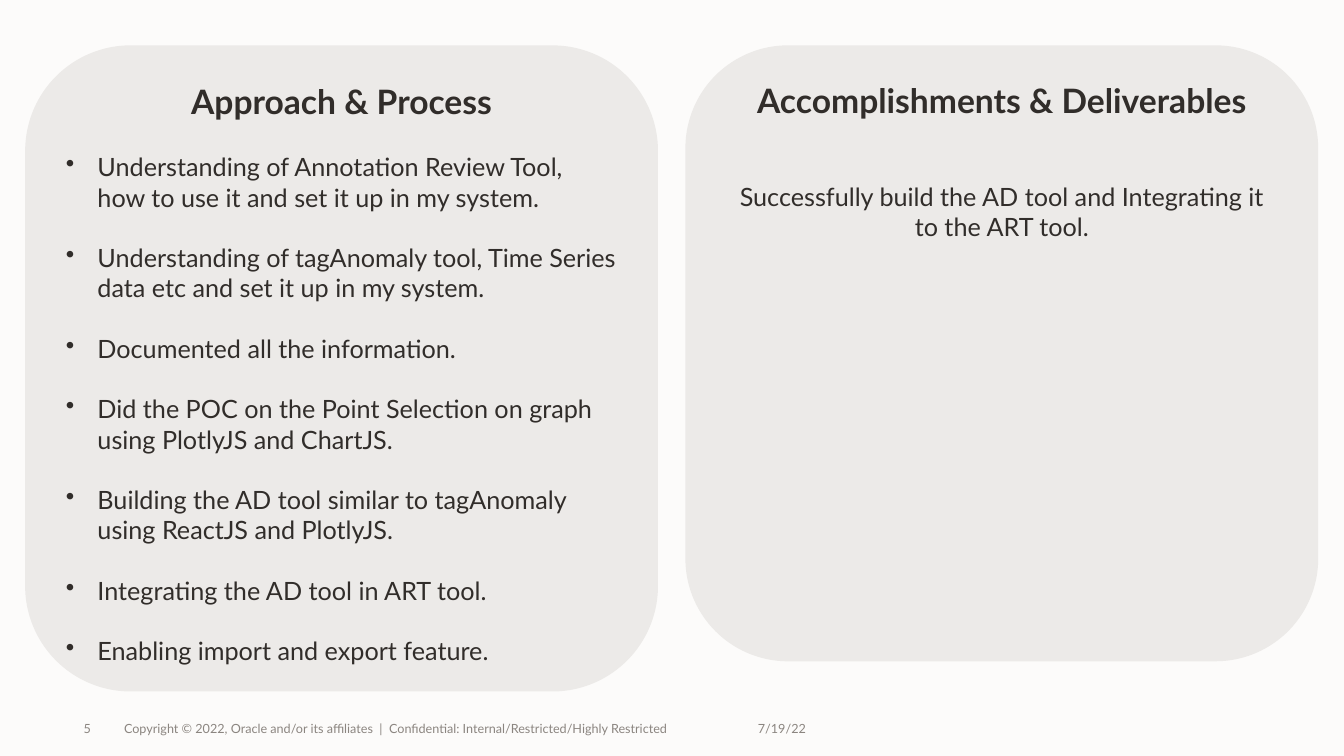
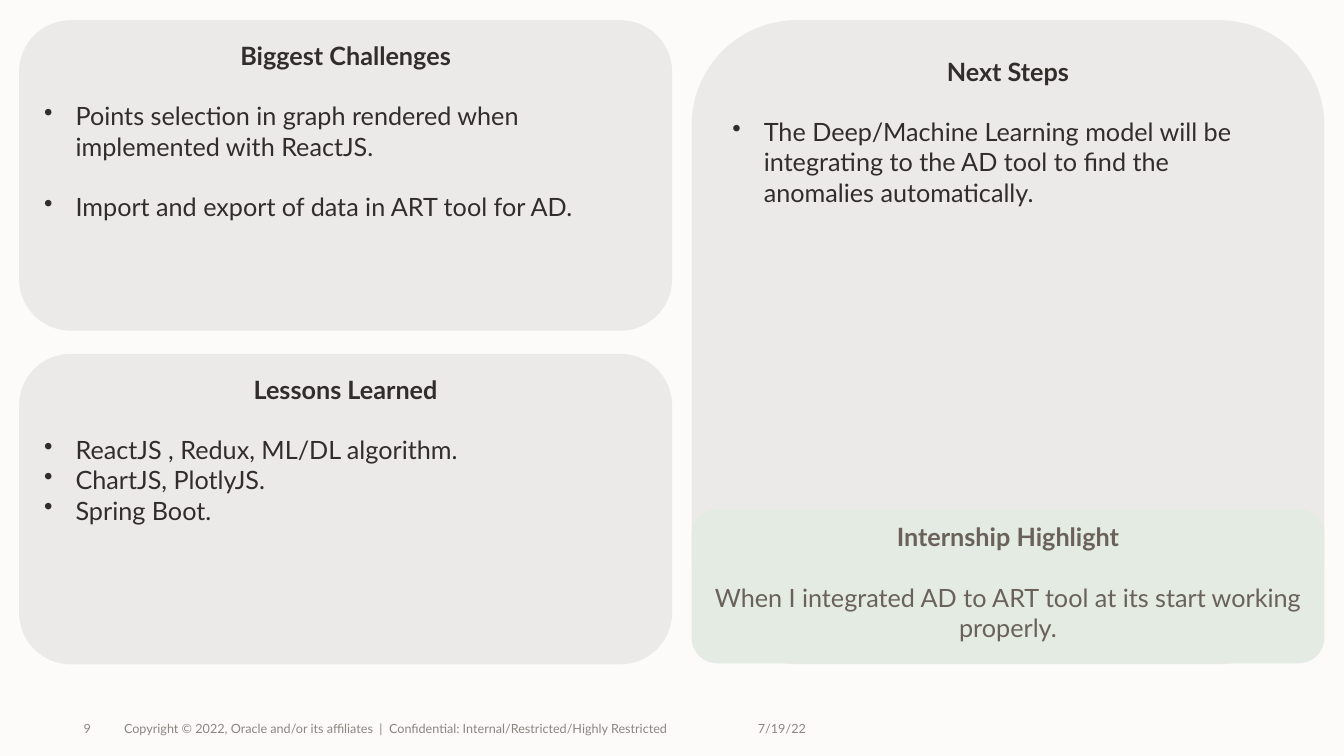
"""Build two internship review slides made of rounded text panels."""
from dataclasses import dataclass

from lxml.etree import SubElement
from pptx import Presentation
from pptx.dml.color import RGBColor
from pptx.enum.shapes import MSO_SHAPE as Preset
from pptx.enum.text import MSO_ANCHOR as Anchor, PP_ALIGN as Align
from pptx.oxml.ns import qn
from pptx.presentation import Presentation as Deck
from pptx.slide import Slide
from pptx.text.text import _Paragraph as Paragraph
from pptx.util import Pt


@dataclass(frozen=True)
class Theme:
    font: str = "Lato"
    background: RGBColor = RGBColor(0xFC, 0xFB, 0xFA)
    panel: RGBColor = RGBColor(0xEC, 0xEA, 0xE8)
    highlight: RGBColor = RGBColor(0xE3, 0xEB, 0xE2)
    ink: RGBColor = RGBColor(0x31, 0x2D, 0x2A)
    highlight_ink: RGBColor = RGBColor(0x69, 0x61, 0x5A)
    footer_ink: RGBColor = RGBColor(0x8B, 0x85, 0x80)
    heading_size: float = 24
    body_size: float = 18
    footer_size: float = 9
    line: float = 21.6
    indent: float = 22.5


THEME = Theme()


@dataclass(frozen=True)
class Panel:
    left: float
    top: float
    width: float
    height: float
    heading: str
    items: tuple[str, ...]
    heading_size: float = THEME.body_size
    bulleted: bool = True
    first_gap: float = THEME.line
    item_gap: float = THEME.line
    fill: RGBColor = THEME.panel
    ink: RGBColor = THEME.ink


@dataclass(frozen=True)
class Page:
    number: str
    panels: tuple[Panel, ...]


COPYRIGHT = ("Copyright © 2022, Oracle and/or its affiliates  |  "
             "Confidential: Internal/Restricted/Highly Restricted")
DATE = "7/19/22"
WIDE, NARROW = 466.5, 452
LOWER_TOP = 252.7
HALF_HEIGHT = 221.8

PAGES = (
    Page("5", (
        Panel(18, 32.4, NARROW, 461.5, "Approach & Process", (
            "Understanding of Annotation Review Tool,\n"
            "how to use it and set it up in my system.",
            "Understanding of tagAnomaly tool, Time Series data etc and set it up in my system.",
            "Documented all the information.",
            "Did the POC on the Point Selection on graph using PlotlyJS and ChartJS.",
            "Building the AD tool similar to tagAnomaly using ReactJS and PlotlyJS.",
            "Integrating the AD tool in ART tool.",
            "Enabling import and export feature.",
        ), heading_size=THEME.heading_size),
        Panel(489.6, 32.4, NARROW, 440, "Accomplishments & Deliverables", (
            "Successfully build the AD tool and Integrating it to the ART tool.",
        ), heading_size=THEME.heading_size, bulleted=False, first_gap=2 * THEME.line),
    )),
    Page("9", (
        Panel(13.6, 14.4, WIDE, HALF_HEIGHT, "Biggest Challenges", (
            "Points selection in graph rendered when implemented with ReactJS.",
            "Import and export of data in ART tool for AD.",
        )),
        Panel(494, 14.4, NARROW, 460, "Next Steps", (
            "The Deep/Machine Learning model will be integrating to the AD tool "
            "to find the anomalies automatically.",
        )),
        Panel(13.6, LOWER_TOP, WIDE, HALF_HEIGHT, "Lessons Learned", (
            "ReactJS , Redux, ML/DL algorithm.",
            "ChartJS, PlotlyJS.",
            "Spring Boot.",
        ), item_gap=0),
        Panel(494, 363.6, NARROW, 110.2, "Internship Highlight", (
            "When I integrated AD to ART tool at its start working properly.",
        ), bulleted=False, fill=THEME.highlight, ink=THEME.highlight_ink),
    )),
)


def add_text(paragraph: Paragraph, text: str, size: float, color: RGBColor,
             bold: bool = False) -> None:
    for index, line in enumerate(text.split("\n")):
        if index:
            paragraph.add_line_break()
        run = paragraph.add_run()
        run.text = line
        run.font.name = THEME.font
        run.font.size = Pt(size)
        run.font.bold = bold
        run.font.color.rgb = color


def add_bullet(paragraph: Paragraph) -> None:
    properties = paragraph._p.get_or_add_pPr()
    properties.set("marL", str(Pt(THEME.indent)))
    properties.set("indent", str(-Pt(THEME.indent)))
    SubElement(properties, qn("a:buChar")).set("char", "•")


def draw_panel(slide: Slide, panel: Panel) -> None:
    shape = slide.shapes.add_shape(
        Preset.ROUNDED_RECTANGLE, Pt(panel.left), Pt(panel.top),
        Pt(panel.width), Pt(panel.height))
    shape.shadow.inherit = False
    shape.fill.solid()
    shape.fill.fore_color.rgb = panel.fill
    shape.line.fill.background()
    frame = shape.text_frame
    frame.word_wrap = True
    frame.vertical_anchor = Anchor.TOP
    heading = frame.paragraphs[0]
    heading.alignment = Align.CENTER
    add_text(heading, panel.heading, panel.heading_size, panel.ink, bold=True)
    for index, item in enumerate(panel.items):
        paragraph = frame.add_paragraph()
        paragraph.alignment = Align.LEFT if panel.bulleted else Align.CENTER
        if panel.bulleted:
            add_bullet(paragraph)
        paragraph.space_before = Pt(panel.item_gap if index else panel.first_gap)
        add_text(paragraph, item, THEME.body_size, panel.ink)


def draw_footer(slide: Slide, number: str) -> None:
    left = 59.8
    for text, width in ((number, 28.8), (COPYRIGHT, 452.8), (DATE, 216)):
        box = slide.shapes.add_textbox(Pt(left), Pt(506.2), Pt(width), Pt(28.8))
        frame = box.text_frame
        frame.word_wrap = True
        frame.vertical_anchor = Anchor.MIDDLE
        frame.margin_left = frame.margin_right = Pt(0)
        frame.margin_top = frame.margin_bottom = Pt(0)
        add_text(frame.paragraphs[0], text, THEME.footer_size, THEME.footer_ink)
        left += width


def draw_page(presentation: Deck, page: Page) -> None:
    slide = presentation.slides.add_slide(presentation.slide_layouts.get_by_name("Blank"))
    draw_footer(slide, page.number)
    for panel in page.panels:
        draw_panel(slide, panel)


def main() -> None:
    presentation = Presentation()
    presentation.slide_width = Pt(960)
    presentation.slide_height = Pt(540)
    background = presentation.slide_master.background.fill
    background.solid()
    background.fore_color.rgb = THEME.background
    for page in PAGES:
        draw_page(presentation, page)
    presentation.save("out.pptx")


if __name__ == "__main__":
    main()
